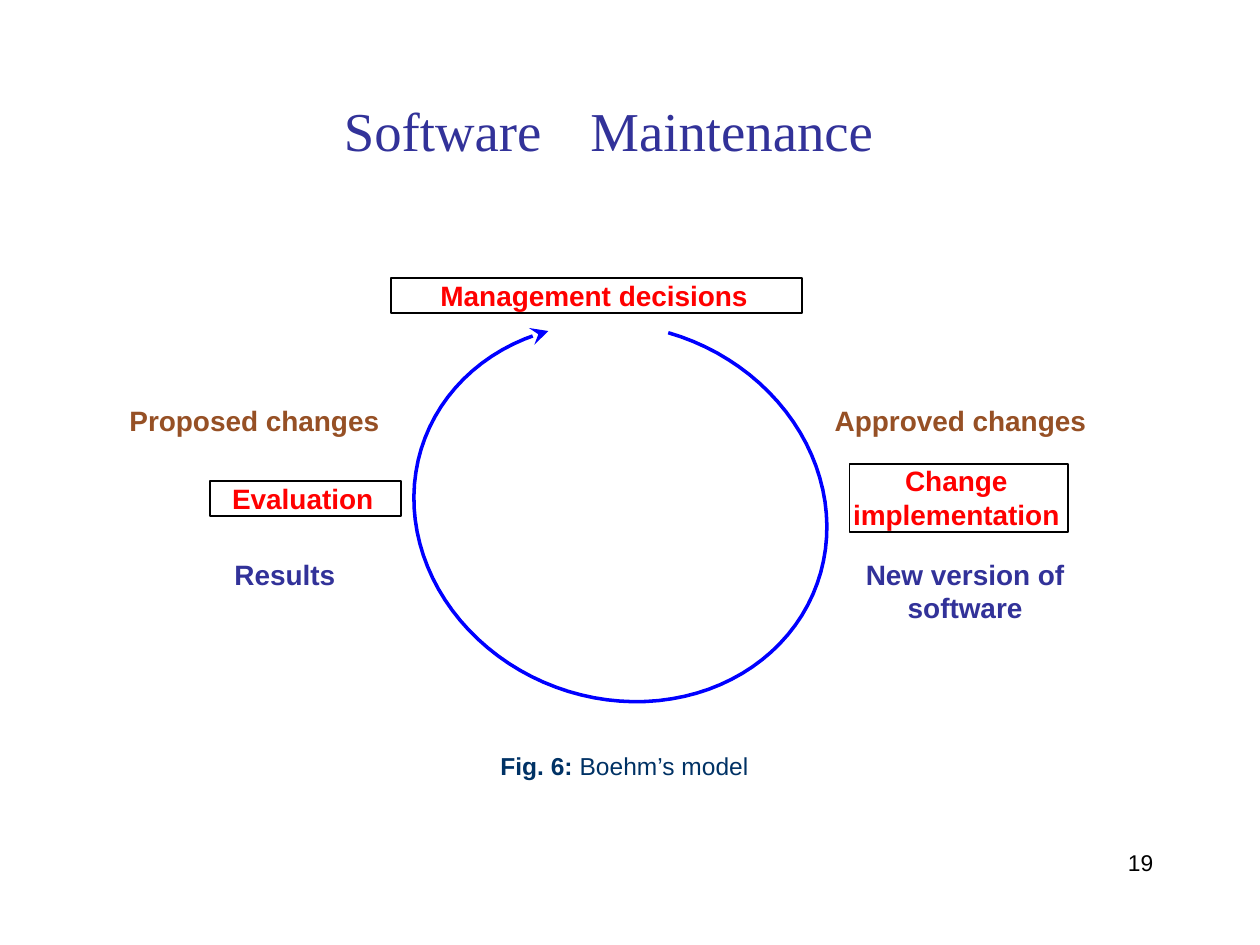
import math
from dataclasses import dataclass

from lxml import etree
from pptx import Presentation
from pptx.dml.color import RGBColor
from pptx.enum.shapes import MSO_SHAPE
from pptx.enum.text import MSO_ANCHOR, MSO_AUTO_SIZE, PP_ALIGN
from pptx.oxml.ns import qn
from pptx.util import Pt

LEFT, CENTER = PP_ALIGN.LEFT, PP_ALIGN.CENTER
TOP = MSO_ANCHOR.TOP
NO_AUTOFIT = MSO_AUTO_SIZE.NONE
RECTANGLE = MSO_SHAPE.RECTANGLE
TITLE_ONLY = 5

COLORS = {
    "indigo": "323299",
    "brown": "965025",
    "red": "FF0000",
    "blue": "0000FF",
    "navy": "003265",
    "black": "000000",
}


@dataclass
class Block:
    """A piece of text and its place, in points."""
    text: str
    left: float
    top: float
    width: float
    height: float
    color: str
    align: PP_ALIGN = LEFT


STAGES = [
    Block("Management decisions", 223.5, 159, 235, 20, "red", CENTER),
    Block("Change implementation", 485.5, 265, 125, 39, "red", CENTER),
    Block("Evaluation", 120, 275, 109, 20, "red", CENTER),
]
FLOWS = [
    Block("Proposed changes", 74, 230.5, 150, 18, "brown"),
    Block("Approved changes", 477, 230.5, 152, 18, "brown"),
    Block("Results", 134, 318.5, 64, 18, "indigo"),
    Block("New version of software", 491.5, 318.5, 120, 37, "indigo", CENTER),
]

# Slightly skewed ellipse that the cycle arrow follows, clockwise
CYCLE_CENTER = (354.5, 293)
CYCLE_RADII = (118, 108)
CYCLE_SKEW = 4.4
CYCLE_START, CYCLE_END, CYCLE_STEPS = -76.6, 249.6, 90


def rgb(name: str) -> RGBColor:
    return RGBColor.from_string(COLORS[name])


def place(sp, left: float, top: float, width: float, height: float) -> None:
    sp.left, sp.top, sp.width, sp.height = map(Pt, (left, top, width, height))


def prepare_frame(sp, align: PP_ALIGN = LEFT, right: float = 0):
    """Set up the text frame without insets and return its first paragraph."""
    tf = sp.text_frame
    tf.word_wrap = True
    tf.auto_size = NO_AUTOFIT
    tf.vertical_anchor = TOP
    tf.margin_left = tf.margin_top = tf.margin_bottom = 0
    tf.margin_right = Pt(right)
    p = tf.paragraphs[0]
    p.alignment = align
    p.line_spacing = 1.0
    p.space_before = Pt(0)
    return p


def add_text(p, text: str, *, size: float = 16, color: str = "black",
             bold: bool = False, font: str = "Arial"):
    r = p.add_run()
    r.text = text
    r.font.name, r.font.size, r.font.bold = font, Pt(size), bold
    r.font.color.rgb = rgb(color)
    return r


def add_title(s) -> None:
    sp = s.shapes.title
    place(sp, 196.5, 55, 340, 37)
    p = prepare_frame(sp)
    style = {"size": 31.3, "color": "indigo", "font": "Times New Roman"}
    add_text(p, "Software", **style)
    gap = add_text(p, " ", **style)
    gap.font._element.set("spc", "2000")  # widens the gap between the words
    add_text(p, "Maintenance", **style)


def add_stage(s, stage: Block) -> None:
    sp = s.shapes.add_shape(RECTANGLE, 0, 0, 0, 0)
    place(sp, stage.left, stage.top, stage.width, stage.height)
    sp.shadow.inherit = False
    sp.fill.background()
    sp.line.color.rgb = rgb("black")
    sp.line.width = Pt(1)
    p = prepare_frame(sp, stage.align, right=3)
    add_text(p, stage.text, color=stage.color, bold=True)


def add_label(s, left: float, top: float, width: float, height: float,
              align: PP_ALIGN = LEFT):
    """Add an empty text box and return its paragraph."""
    sp = s.shapes.add_textbox(0, 0, 0, 0)
    place(sp, left, top, width, height)
    return prepare_frame(sp, align)


def cycle_point(step: int) -> tuple[int, int]:
    angle = CYCLE_START + (CYCLE_END - CYCLE_START) * step / CYCLE_STEPS
    (cx, cy), (rx, ry) = CYCLE_CENTER, CYCLE_RADII
    x = cx + rx * math.cos(math.radians(angle))
    y = cy + ry * math.sin(math.radians(angle + CYCLE_SKEW))
    return Pt(x), Pt(y)


def add_cycle_arrow(s) -> None:
    start, *rest = [cycle_point(i) for i in range(CYCLE_STEPS + 1)]
    builder = s.shapes.build_freeform(*start)
    builder.add_line_segments(rest, close=False)
    sp = builder.convert_to_shape()
    sp.shadow.inherit = False
    sp.fill.background()
    sp.line.color.rgb = rgb("blue")
    sp.line.width = Pt(2)
    ln = sp.line._get_or_add_ln()
    etree.SubElement(ln, qn("a:tailEnd"), type="stealth", w="lg", len="lg")


def main() -> None:
    prs = Presentation()
    prs.slide_width, prs.slide_height = Pt(720), Pt(540)
    s = prs.slides.add_slide(prs.slide_layouts[TITLE_ONLY])

    add_title(s)
    add_cycle_arrow(s)
    for stage in STAGES:
        add_stage(s, stage)
    for flow in FLOWS:
        p = add_label(s, flow.left, flow.top, flow.width, flow.height, flow.align)
        add_text(p, flow.text, color=flow.color, bold=True)

    caption = add_label(s, 286, 429, 151, 16)
    add_text(caption, "Fig. 6: ", size=14, color="navy", bold=True)
    add_text(caption, "Boehm’s model", size=14, color="navy")
    add_text(add_label(s, 644.5, 485, 18, 15), "19", size=13)

    prs.save("out.pptx")


if __name__ == "__main__":
    main()
